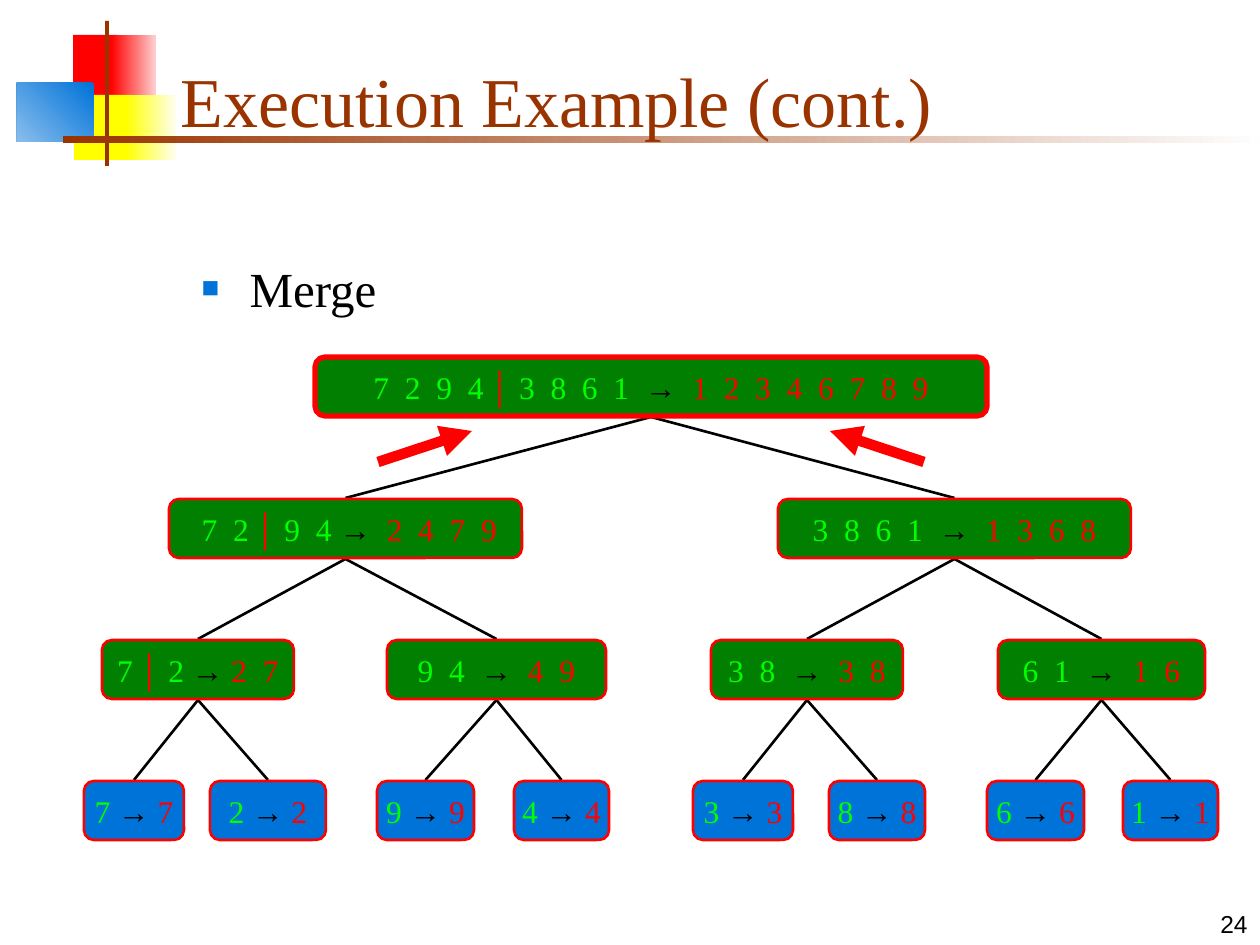
from pptx import Presentation
from pptx.dml.color import RGBColor
from pptx.enum.shapes import MSO_CONNECTOR, MSO_SHAPE
from pptx.enum.text import MSO_ANCHOR, MSO_AUTO_SIZE, PP_ALIGN
from pptx.oxml.ns import qn
from pptx.util import Emu, Pt
from lxml import etree

RECTANGLE = MSO_SHAPE.RECTANGLE
ROUNDED = MSO_SHAPE.ROUNDED_RECTANGLE
STRAIGHT = MSO_CONNECTOR.STRAIGHT
BOTTOM, MIDDLE = MSO_ANCHOR.BOTTOM, MSO_ANCHOR.MIDDLE
LEFT, CENTER, RIGHT = PP_ALIGN.LEFT, PP_ALIGN.CENTER, PP_ALIGN.RIGHT
NO_AUTOFIT = MSO_AUTO_SIZE.NONE

PX_PER_INCH = 126
SERIF, SANS = "Times New Roman", "Arial"
COLORS = {
    "red": "FF0000", "pale red": "FED0D0",
    "yellow": "FFFF00", "pale yellow": "FEFEEF",
    "blue": "0073D9", "pale blue": "8ABEEC",
    "brown": "993300", "off white": "FEFEFE",
    "green": "007F00", "lime": "00FF00", "black": "000000",
}

# Left, top, width, height, colour, gradient end colour, gradient angle
DECORATION = [
    (73, 35, 44, 66, "red", None, 0),
    (111, 35, 45, 66, "red", "pale red", 0),
    (74, 95, 58, 65, "yellow", None, 0),
    (126, 95, 50, 65, "yellow", "pale yellow", 0),
    (17, 83, 77, 59, "blue", "pale blue", 225),
    (105, 21, 4, 145, "brown", None, 0),
    (63, 136, 1197, 7, "brown", "off white", 0),
]

NODE_HEIGHT = 59
ROW_TOPS = [357, 499, 640, 781]
# One list per row of the merge tree; each node is left, width, text
TREE = [
    [(315, 672, "7  2  9  4 │ 3  8  6  1  →  1  2  3  4  6  7  8  9")],
    [(169, 353, " 7  2 │ 9  4 →  2  4  7  9"),
     (778, 353, "3  8  6  1  →  1  3  6  8")],
    [(102, 192, "7 │ 2 → 2  7"), (387, 219, "9  4  →  4  9"),
     (711, 192, "3  8  →  3  8"), (998, 207, "6  1  →  1  6")],
    [(84, 100, "7 → 7"), (210, 116, "2 → 2"),
     (377, 97, "9 → 9"), (514, 95, "4 → 4"),
     (693, 100, "3 → 3"), (829, 96, "8 → 8"),
     (987, 97, "6 → 6"), (1123, 95, "1 → 1")],
]


def px(*lengths):
    return [Emu(round(length * 914400 / PX_PER_INCH)) for length in lengths]


def color(name):
    return RGBColor.from_string(COLORS[name])


def set_font(font, name, size, color_name, bold=False):
    font.name, font.size, font.bold = name, Pt(size), bold
    font.color.rgb = color(color_name)


def place(shape, *bounds):
    shape.left, shape.top, shape.width, shape.height = px(*bounds)


def add_filled_shape(page, kind, bounds, fill):
    shape = page.shapes.add_shape(kind, *px(*bounds))
    shape.shadow.inherit = False
    shape.fill.solid()
    shape.fill.fore_color.rgb = color(fill)
    return shape


def add_decoration(page, left, top, width, height, start, end, angle):
    shape = add_filled_shape(page, RECTANGLE, (left, top, width, height), start)
    shape.line.fill.background()
    if end:
        shape.fill.gradient()
        shape.fill.gradient_angle = angle
        for stop, name in zip(shape.fill.gradient_stops, (start, end)):
            stop.color.rgb = color(name)


def add_line(page, start, end, color_name="black", width=1.5):
    line = page.shapes.add_connector(STRAIGHT, *px(*start, *end))
    line.line.color.rgb = color(color_name)
    line.line.width = Pt(width)
    etree.SubElement(line._element.spPr, qn("a:effectLst"))
    return line


def add_arrow(page, start, end):
    arrow = add_line(page, start, end, "red", 6)
    etree.SubElement(arrow.line._get_or_add_ln(), qn("a:tailEnd"), type="triangle")


def add_node(page, left, top, width, text, fill, border):
    """Add a box whose input is lime and whose merged result is red."""
    box = add_filled_shape(page, ROUNDED, (left, top, width, NODE_HEIGHT), fill)
    box.line.color.rgb = color("red")
    box.line.width = Pt(border)
    frame = box.text_frame
    frame.word_wrap = False
    frame.vertical_anchor = MIDDLE
    para = frame.paragraphs[0]
    para.alignment = CENTER
    unsorted, arrow, merged = text.partition("→")
    first, bar, second = unsorted.partition("│")
    for words, name, color_name in (
            (first, SERIF, "lime"), (bar, SANS, "red"), (second, SERIF, "lime"),
            (arrow, SANS, "black"), (merged, SERIF, "red")):
        if words:
            span = para.add_run()
            span.text = words
            set_font(span.font, name, 18, color_name, bold=name == SANS)


def add_tree(page):
    for row in range(1, len(TREE)):
        for index, (left, width, _) in enumerate(TREE[row]):
            parent_left, parent_width, _ = TREE[row - 1][index // 2]
            add_line(page, (left + width / 2, ROW_TOPS[row] - 1),
                     (parent_left + parent_width / 2,
                      ROW_TOPS[row - 1] + NODE_HEIGHT + 1))
    for row, (top, nodes) in enumerate(zip(ROW_TOPS, TREE)):
        fill = "blue" if row == len(TREE) - 1 else "green"
        for left, width, text in nodes:
            add_node(page, left, top, width, text, fill, 3 if row == 0 else 1.5)


def fill_title(page, text):
    title = page.shapes.title
    place(title, 168, 32, 1074, 116)
    title.text_frame.text = text
    title.text_frame.auto_size = NO_AUTOFIT
    title.text_frame.vertical_anchor = BOTTOM
    para = title.text_frame.paragraphs[0]
    para.alignment = LEFT
    set_font(para.font, SERIF, 40, "brown")
    # Bring the title in front of the decoration
    page.shapes._spTree.append(title._element)


def fill_body(page, text):
    body = page.placeholders[1]
    place(body, 189, 252, 1071, 95)
    body.text_frame.text = text
    body.text_frame.auto_size = NO_AUTOFIT
    para = body.text_frame.paragraphs[0]
    para.space_before = Pt(7)
    set_font(para.font, SERIF, 28, "black")
    add_bullet(para)


def add_bullet(para):
    properties = para._p.get_or_add_pPr()
    indent = px(48)[0]
    properties.set("marL", str(indent))
    properties.set("indent", str(-indent))
    bullet_color = etree.Element(qn("a:buClr"))
    etree.SubElement(bullet_color, qn("a:srgbClr"), val=COLORS["blue"])
    bullet = [
        bullet_color,
        etree.Element(qn("a:buSzPct"), val="60000"),
        etree.Element(qn("a:buFont"), typeface=SANS),
        etree.Element(qn("a:buChar"), char="■"),
    ]
    for offset, element in enumerate(bullet):
        properties.insert(1 + offset, element)  # after the spacing


def add_page_number(page, text):
    box = page.shapes.add_textbox(*px(998, 882, 262, 63))
    frame = box.text_frame
    frame.word_wrap = True
    frame.vertical_anchor = BOTTOM
    frame.text = text
    para = frame.paragraphs[0]
    para.alignment = RIGHT
    set_font(para.font, SANS, 14, "black")


def main():
    deck = Presentation()
    deck.slide_width, deck.slide_height = px(1260, 945)
    page = deck.slides.add_slide(deck.slide_layouts[1])
    for item in DECORATION:
        add_decoration(page, *item)
    fill_title(page, "Execution Example (cont.)")
    fill_body(page, "Merge")
    add_tree(page)
    add_arrow(page, (378, 462), (472, 431))
    add_arrow(page, (924, 462), (830, 431))
    add_page_number(page, "24")
    deck.save("out.pptx")


if __name__ == "__main__":
    main()
